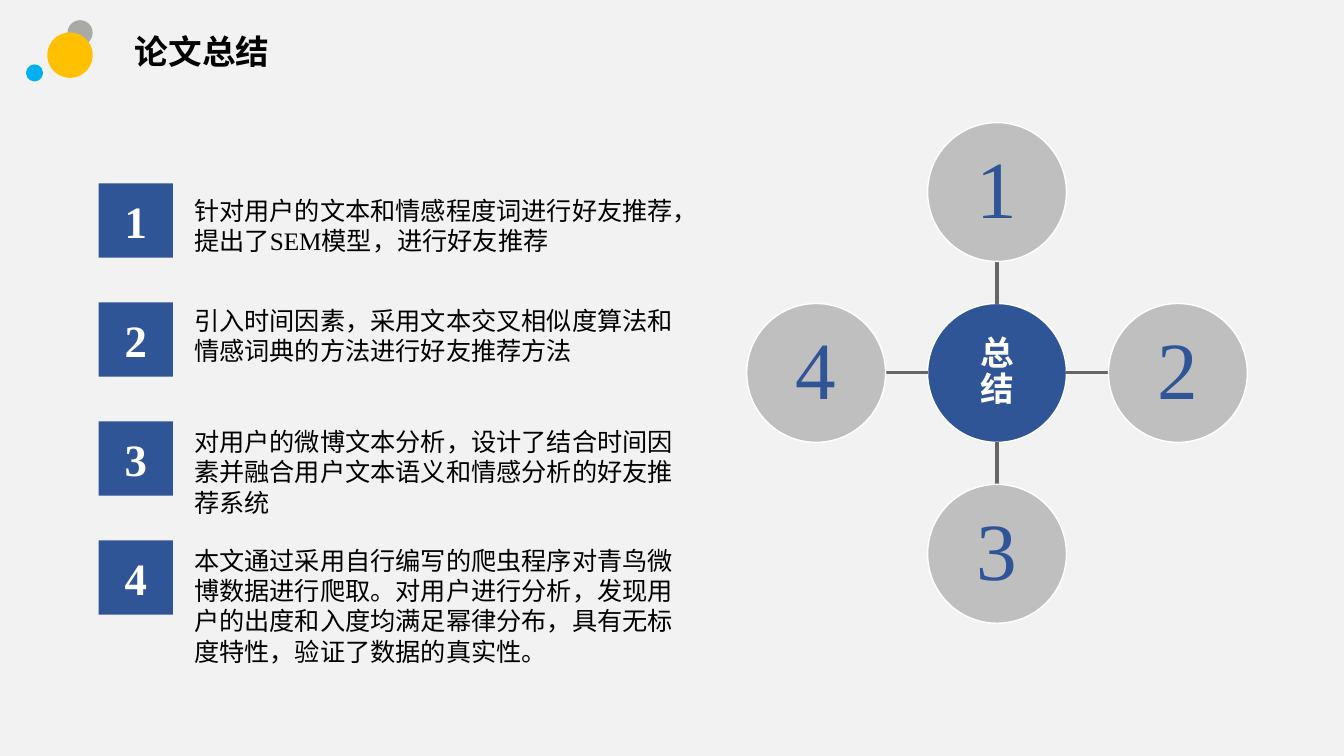
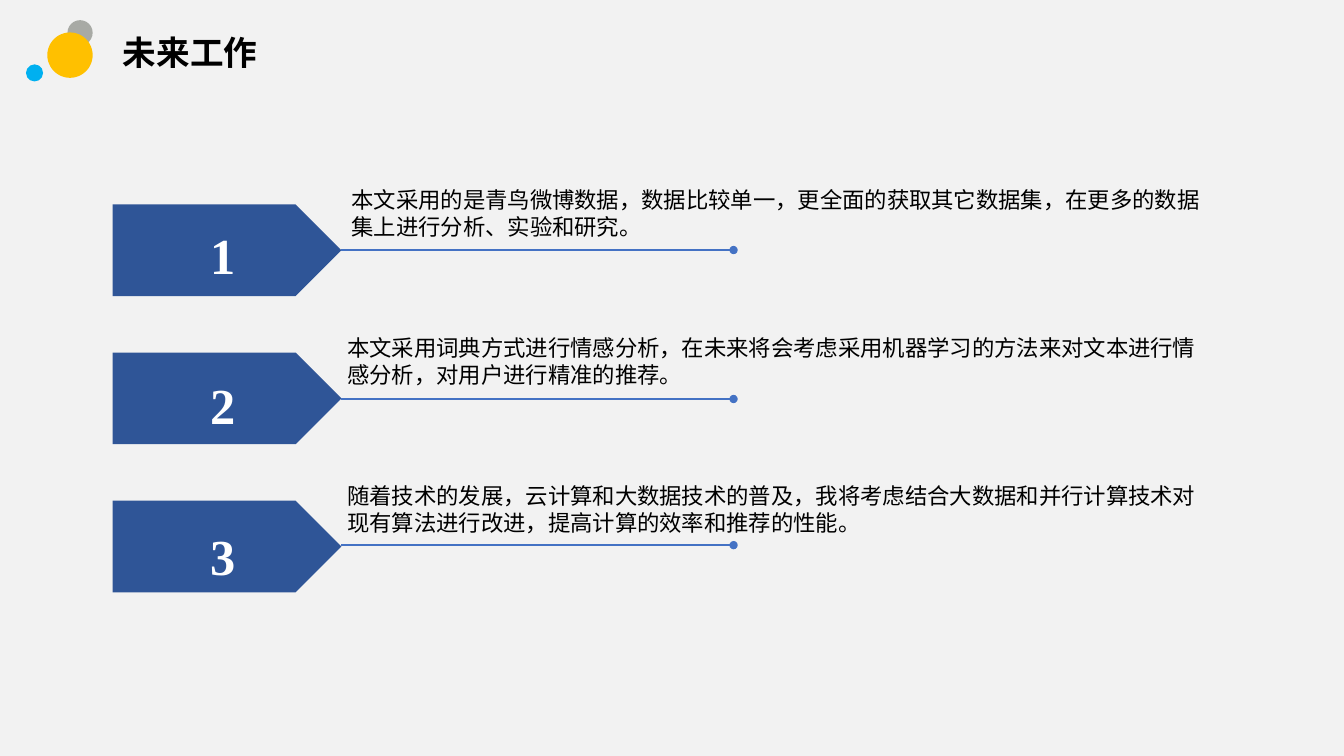
from lxml import etree
from pptx import Presentation
from pptx import util as u
from pptx.dml import color
from pptx.enum import shapes, text
from pptx.oxml import ns

Pt = u.Pt
NAVY, WHITE, BLACK, SILVER = "2F5597", "FFFFFF", "000000", "BFBFBF"
LATIN, CHINESE = "Times New Roman", "Noto Sans CJK SC"
LOGO_DOTS = [
    (48.2, 14.4, 18, "A8AAA5"),
    (33.8, 23.2, 32.4, "FFC000"),
    (18.6, 46, 12.2, "00B0F0"),
]


def rgb(value):
    return color.RGBColor.from_string(value)


class Deck:
    def __init__(self):
        self.prs = Presentation()
        self.prs.slide_width, self.prs.slide_height = Pt(960), Pt(540)
        backdrop = self.prs.slide_master.background.fill
        backdrop.solid()
        backdrop.fore_color.rgb = rgb("F2F2F2")
        self.slide = None

    def start(self, heading, left, top, width, height):
        self.slide = self.prs.slides.add_slide(self.prs.slide_layouts[5])
        for x, y, size, fill in LOGO_DOTS:
            self.shape(shapes.MSO_SHAPE.OVAL, x, y, size, size, fill)
        title = self.slide.shapes.title
        placement = {"left": left, "top": top, "width": width, "height": height}
        for name, value in placement.items():
            setattr(title, name, Pt(value))
        self.put_text(title.text_frame, heading, 24, bold=True, spacing=0.9,
                      anchor=text.MSO_ANCHOR.MIDDLE)

    def put_text(self, frame, words, size, ink=BLACK, bold=False, face=LATIN,
                 align=text.PP_ALIGN.LEFT, anchor=text.MSO_ANCHOR.TOP,
                 spacing=1.0, margins=None):
        frame.word_wrap = True
        frame.auto_size = text.MSO_AUTO_SIZE.NONE
        frame.vertical_anchor = anchor
        for side, value in (margins or {}).items():
            setattr(frame, f"margin_{side}", Pt(value))
        paragraph = frame.paragraphs[0]
        paragraph.alignment = align
        paragraph.line_spacing = spacing
        run = paragraph.add_run()
        run.text = words
        for name, value in {"size": Pt(size), "bold": bold, "name": face}.items():
            setattr(run.font, name, value)
        run.font.color.rgb = rgb(ink)
        east_asian = etree.SubElement(run._r.get_or_add_rPr(), ns.qn("a:ea"))
        east_asian.set("typeface", CHINESE)

    def shape(self, kind, left, top, width, height, fill, outline=None):
        drawn = self.slide.shapes.add_shape(
            kind, Pt(left), Pt(top), Pt(width), Pt(height))
        drawn.shadow.inherit = False
        drawn.fill.solid()
        drawn.fill.fore_color.rgb = rgb(fill)
        if outline:
            drawn.line.color.rgb = rgb(outline)
            drawn.line.width = Pt(1)
        else:
            drawn.line.fill.background()
        return drawn

    def label(self, kind, box, fill, words, size, outline=None, **style):
        drawn = self.shape(kind, *box, fill, outline)
        self.put_text(drawn.text_frame, words, size, align=text.PP_ALIGN.CENTER,
                      anchor=text.MSO_ANCHOR.MIDDLE, **style)

    def body(self, words, left, top, width, height, size):
        box = self.slide.shapes.add_textbox(
            Pt(left), Pt(top), Pt(width), Pt(height))
        self.put_text(box.text_frame, words, size)

    def line(self, start, end, ink, weight, dot=False):
        link = self.slide.shapes.add_connector(
            shapes.MSO_CONNECTOR.STRAIGHT, *map(Pt, start + end))
        link.line.color.rgb = rgb(ink)
        link.line.width = Pt(weight)
        properties = link._element.spPr
        if dot:
            tail = etree.SubElement(properties.get_or_add_ln(), ns.qn("a:tailEnd"))
            tail.set("type", "oval")
        etree.SubElement(properties, ns.qn("a:effectLst"))


def summary(deck):
    deck.start("论文总结", 89.2, 20.8, 268, 34.6)
    findings = [
        (136, 51, "针对用户的文本和情感程度词进行好友推荐，提出了SEM模型，进行好友推荐"),
        (214.6, 51, "引入时间因素，采用文本交叉相似度算法和情感词典的方法进行好友推荐方法"),
        (301, 73, "对用户的微博文本分析，设计了结合时间因素并融合用户文本语义和情感分析的好友推荐系统"),
        (386, 94, "本文通过采用自行编写的爬虫程序对青鸟微博数据进行爬取。对用户进行分析，"
                  "发现用户的出度和入度均满足幂律分布，具有无标度特性，验证了数据的真实性。"),
    ]
    for index, (top, height, finding) in enumerate(findings):
        deck.label(shapes.MSO_SHAPE.RECTANGLE, (70.5, 131 + 85 * index, 53, 53),
                   NAVY, str(index + 1), 32, ink=WHITE, bold=True)
        deck.body(finding, 131.6, top, 362, height, 18)

    hub_x, hub_y, radius, reach = 712.2, 266.4, 49.6, 129.2
    inset = dict.fromkeys(("left", "top", "right", "bottom"), 17.3)

    def circle(x, y, fill, words, size, **style):
        box = (x - radius, y - radius, 2 * radius, 2 * radius)
        deck.label(shapes.MSO_SHAPE.OVAL, box, fill, words, size, outline=WHITE,
                   spacing=0.9, margins=inset, **style)

    circle(hub_x, hub_y, NAVY, "总结", 24, ink=WHITE, bold=True, face=CHINESE)
    directions = [(0, -1), (1, 0), (0, 1), (-1, 0)]
    for number, (dx, dy) in enumerate(directions, 1):
        inner, outer = [(hub_x + dx * gap, hub_y + dy * gap)
                        for gap in (radius, reach - radius)]
        deck.line(inner, outer, "666666", 2.25)
        circle(hub_x + dx * reach, hub_y + dy * reach, SILVER, str(number), 58,
               ink=NAVY)


def future_work(deck):
    deck.start("未来工作", 80.6, 20.2, 283, 38.2)
    plans = [
        (244, 129.6, 178.6, "本文采用的是青鸟微博数据，数据比较单一，更全面的获取其它数据集，"
                            "在更多的数据集上进行分析、实验和研究。"),
        (241, 235, 285, "本文采用词典方式进行情感分析，在未来将会考虑采用机器学习的方法来对"
                        "文本进行情感分析，对用户进行精准的推荐。"),
        (241, 340.6, 389.4, "随着技术的发展，云计算和大数据技术的普及，我将考虑结合大数据和并行计算"
                            "技术对现有算法进行改进，提高计算的效率和推荐的性能。"),
    ]
    for index, (left, top, rule_y, plan) in enumerate(plans):
        margins = {"left": 10.4, "right": 0, "top": 6 + 3 * index, "bottom": 0}
        deck.label(shapes.MSO_SHAPE.PENTAGON,
                   (80.5, 146 + 105.8 * index, 163.4, 65.5), NAVY,
                   str(index + 1), 36, ink=WHITE, bold=True, margins=margins)
        deck.line((243.6, rule_y), (524, rule_y), "4472C4", 1.5, dot=True)
        deck.body(plan, left, top, 632, 46, 16)


def main():
    deck = Deck()
    summary(deck)
    future_work(deck)
    deck.prs.save("out.pptx")


if __name__ == "__main__":
    main()
